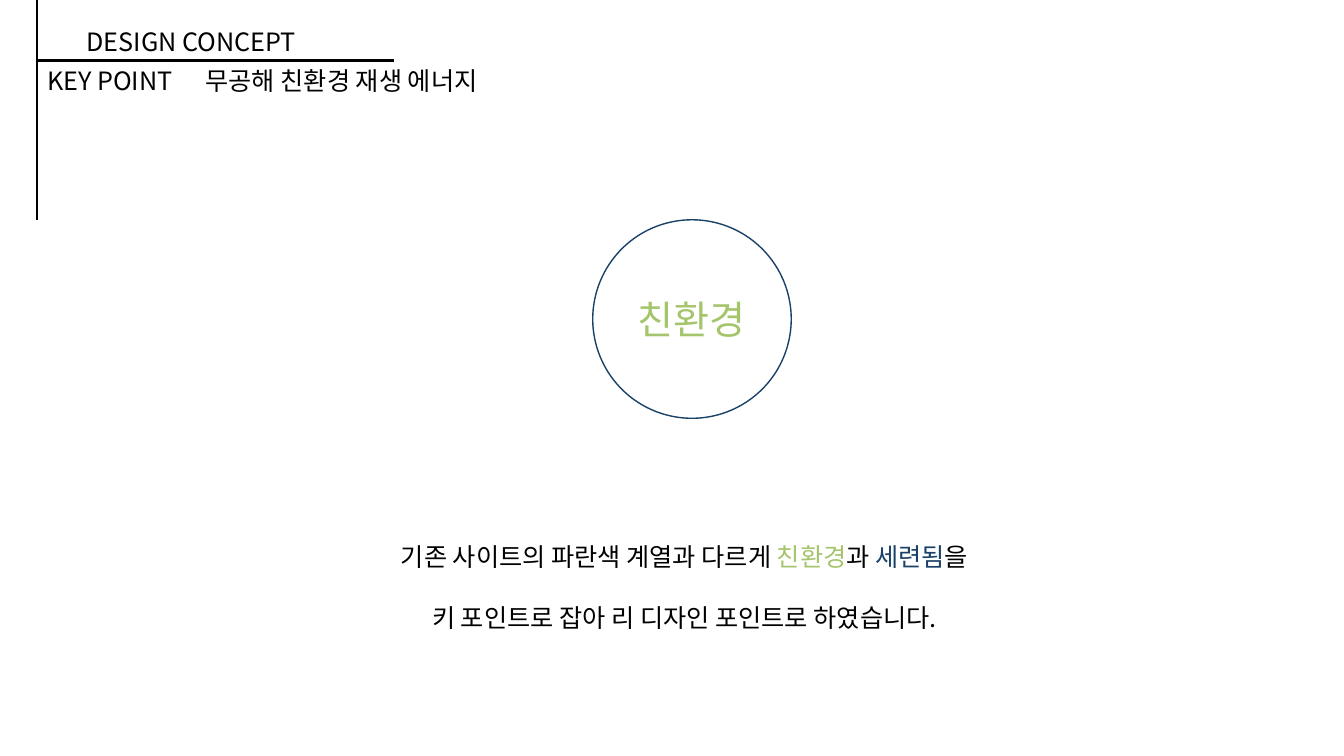
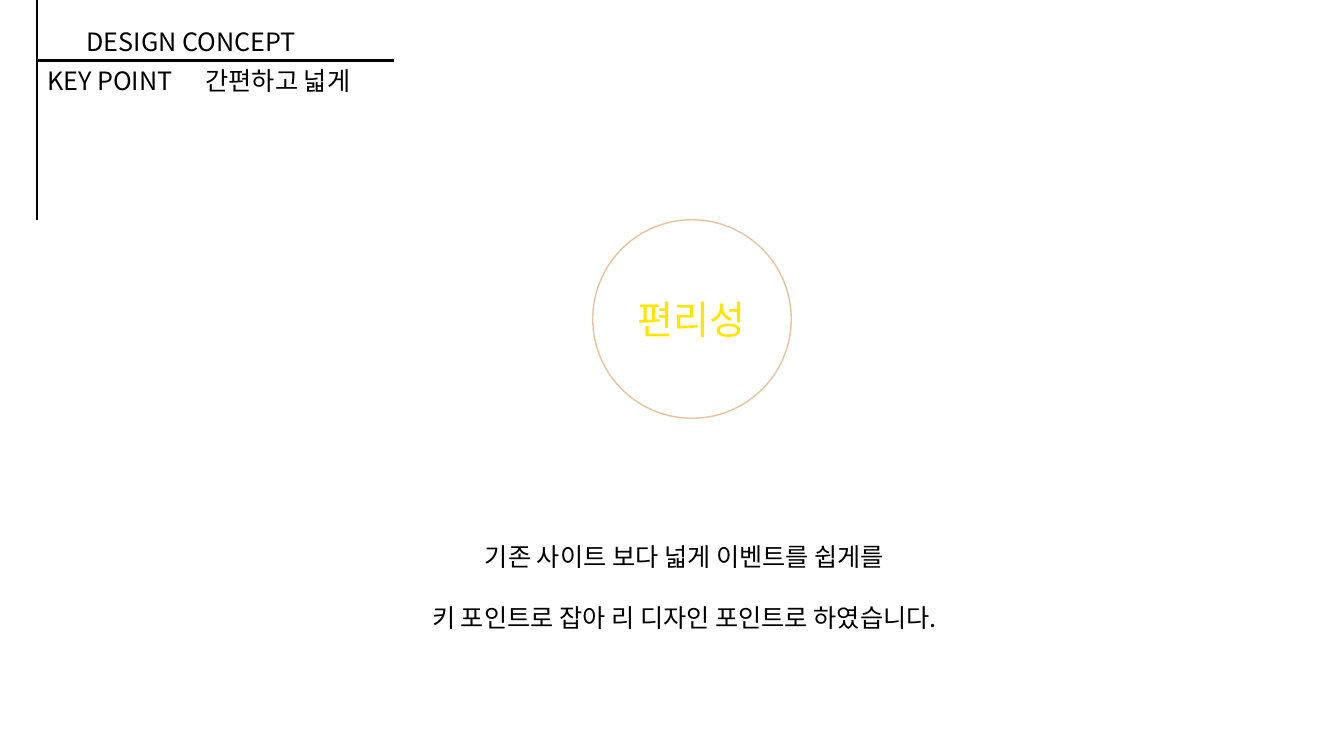
from dataclasses import dataclass

from lxml import etree
from pptx import Presentation
from pptx.dml.color import RGBColor
from pptx.enum.shapes import MSO_CONNECTOR as Line, MSO_SHAPE as Shape
from pptx.enum.text import MSO_ANCHOR as Anchor, PP_ALIGN as Align
from pptx.oxml.ns import qn
from pptx.util import Pt

FONT = "Noto Sans CJK KR"
BLACK, WHITE = "000000", "FFFFFF"
GREEN, NAVY, YELLOW, SAND = "A4C56C", "1A4168", "FEE600", "E7C3A2"
TEXT_SIZE, WORD_SIZE = 18, 28
LINE_PITCH = 21.8
RULE_X, RULE_Y, RULE_BOTTOM, RULE_RIGHT = 26.6, 43.2, 157, 281.5
CIRCLE_LEFT, CIRCLE_SIZE = 423.4, 141.8


@dataclass
class Span:
    text: str
    color: str = BLACK


@dataclass
class KeyPoint:
    heading: str
    word: Span
    ring: str
    first_line: list[Span]


CLOSING = [Span("키 포인트로 잡아 리 디자인 포인트로 하였습니다.")]
KEY_POINTS = [
    KeyPoint("무공해 친환경 재생 에너지", Span("친환경", GREEN), NAVY,
             [Span("기존 사이트의 파란색 계열과 다르게 "), Span("친환경", GREEN),
              Span("과 "), Span("세련됨", NAVY), Span("을")]),
    KeyPoint("간편하고 넓게", Span("편리성", YELLOW), SAND,
             [Span("기존 사이트 보다 넓게 이벤트를 쉽게를")]),
]


def rgb(color: str) -> RGBColor:
    return RGBColor.from_string(color)


def add_spans(p, spans: list[Span], size: float) -> None:
    for span in spans:
        r = p.add_run()
        r.text = span.text
        r.font.size = Pt(size)
        r.font.name = FONT
        r.font.color.rgb = rgb(span.color)
        # East Asian typeface for Hangul
        etree.SubElement(r._r.get_or_add_rPr(), qn("a:ea")).set("typeface", FONT)


def add_text(s, left: float, top: float, width: float, height: float,
             lines: list[list[Span]], align=Align.LEFT) -> None:
    tf = s.shapes.add_textbox(Pt(left), Pt(top), Pt(width), Pt(height)).text_frame
    tf.word_wrap = True
    for i, spans in enumerate(lines):
        p = tf.add_paragraph() if i else tf.paragraphs[0]
        p.alignment = align
        p.line_spacing = Pt(LINE_PITCH)
        p.space_before = Pt(LINE_PITCH if i else 0)
        add_spans(p, spans, TEXT_SIZE)


def add_rule(s, x1: float, y1: float, x2: float, y2: float) -> None:
    rule = s.shapes.add_connector(Line.STRAIGHT, Pt(x1), Pt(y1), Pt(x2), Pt(y2))
    rule.line.color.rgb = rgb(BLACK)
    rule.line.width = Pt(1.5)
    etree.SubElement(rule._element.spPr, qn("a:effectLst"))


def add_header(s, heading: str) -> None:
    add_text(s, RULE_X, RULE_Y, 112, 28.8, [[Span("KEY POINT")]])
    add_rule(s, RULE_X, 0, RULE_X, RULE_BOTTOM)
    add_text(s, 54.7, 15, 165, 28.8, [[Span("DESIGN CONCEPT")]])
    add_rule(s, RULE_X, RULE_Y, RULE_RIGHT, RULE_Y)
    add_text(s, 139.7, RULE_Y, 234, 28.8, [[Span(heading)]])


def add_circle(s, word: Span, ring: str) -> None:
    sp = s.shapes.add_shape(Shape.OVAL, Pt(CIRCLE_LEFT), Pt(RULE_BOTTOM),
                            Pt(CIRCLE_SIZE), Pt(CIRCLE_SIZE))
    sp.shadow.inherit = False
    sp.fill.background()
    sp.line.color.rgb = rgb(ring)
    sp.line.width = Pt(1)
    tf = sp.text_frame
    tf.vertical_anchor = Anchor.MIDDLE
    p = tf.paragraphs[0]
    p.alignment = Align.CENTER
    add_spans(p, [word], WORD_SIZE)


def main() -> None:
    prs = Presentation()
    prs.slide_width, prs.slide_height = Pt(960), Pt(540)
    # Shared white background
    fill = prs.slide_master.background.fill
    fill.solid()
    fill.fore_color.rgb = rgb(WHITE)
    for point in KEY_POINTS:
        s = prs.slides.add_slide(prs.slide_layouts[6])
        add_header(s, point.heading)
        add_circle(s, point.word, point.ring)
        # Explanation below the circle
        add_text(s, 253.4, 383, 471, 72.6, [point.first_line, CLOSING], Align.CENTER)
    prs.save("out.pptx")


if __name__ == "__main__":
    main()
